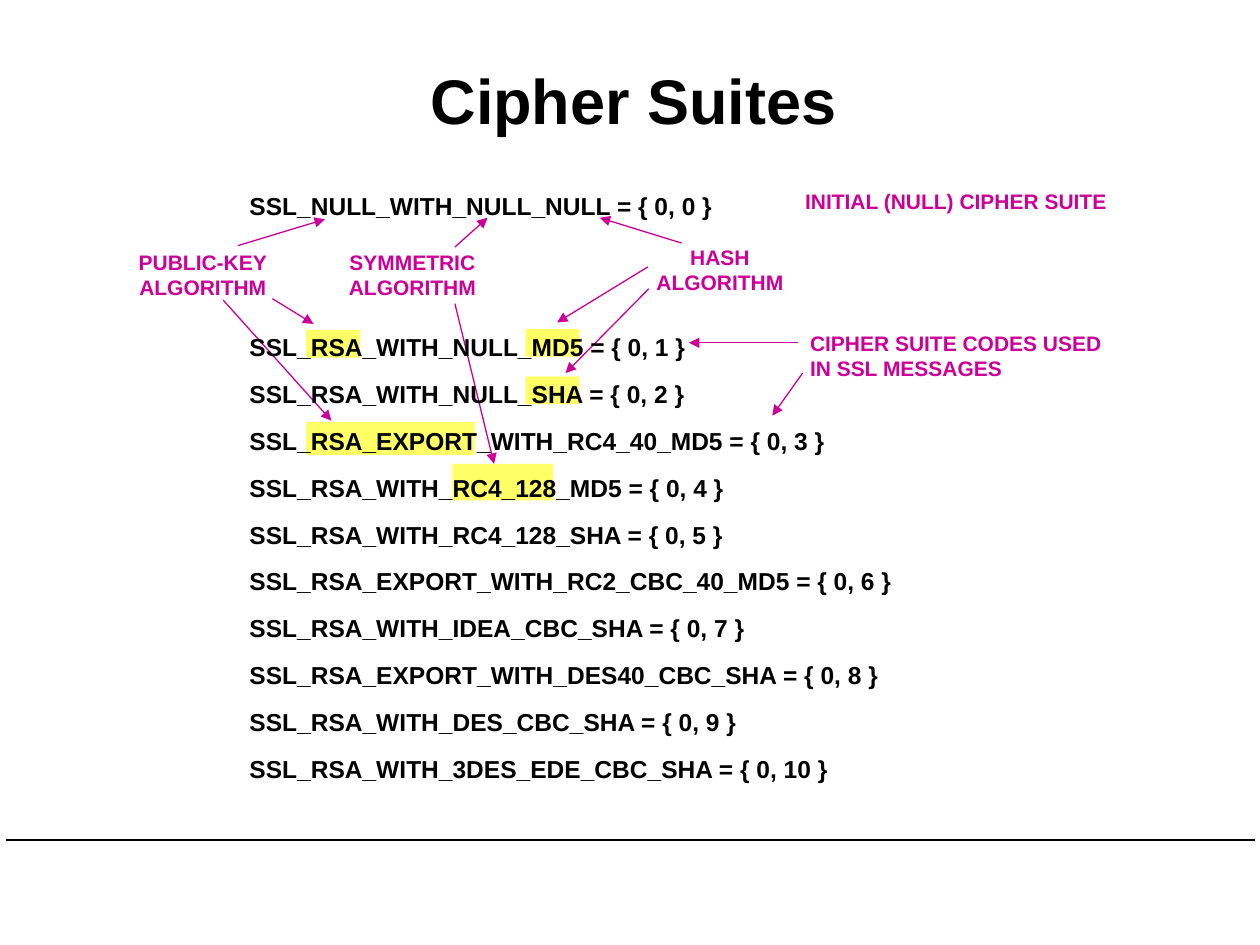
from lxml import etree
from pptx import Presentation
from pptx import util as u
from pptx.dml.color import RGBColor
from pptx.enum import shapes, text
from pptx.oxml.ns import qn

COLORS = {"ink": "000000", "note": "CC0099", "highlight": "FFFF66"}
FONT = "Arial"
LINE_HEIGHT = 1.2  # times the text size
CODE_SIZE, CODE_GAP = 14, 5

TITLE = ("Cipher Suites", (1.98, 0.91, 21.59, 2.01))
NULL_SUITE = "SSL_NULL_WITH_NULL_NULL = { 0, 0 }"
SUITES = [
    "SSL_RSA_WITH_NULL_MD5 = { 0, 1 }",
    "SSL_RSA_WITH_NULL_SHA = { 0, 2 }",
    "SSL_RSA_EXPORT_WITH_RC4_40_MD5 = { 0, 3 }",
    "SSL_RSA_WITH_RC4_128_MD5 = { 0, 4 }",
    "SSL_RSA_WITH_RC4_128_SHA = { 0, 5 }",
    "SSL_RSA_EXPORT_WITH_RC2_CBC_40_MD5 = { 0, 6 }",
    "SSL_RSA_WITH_IDEA_CBC_SHA = { 0, 7 }",
    "SSL_RSA_EXPORT_WITH_DES40_CBC_SHA = { 0, 8 }",
    "SSL_RSA_WITH_DES_CBC_SHA = { 0, 9 }",
    "SSL_RSA_WITH_3DES_EDE_CBC_SHA = { 0, 10 }",
]
SUITES_BOX = (4.78, 3.73, 15.16, 12.19)

# Boxes are left, top, width, height in centimetres
HIGHLIGHTS = [
    (9.12, 9.35, 2.03, 0.74),   # RC4_128
    (6.17, 8.51, 3.4, 0.66),    # RSA_EXPORT
    (6.17, 6.65, 1.09, 0.56),   # RSA
    (10.59, 7.59, 1.09, 0.56),  # SHA
    (10.59, 6.63, 1.09, 0.56),  # MD5
]
LEFT, CENTER = text.PP_ALIGN.LEFT, text.PP_ALIGN.CENTER
LABELS = [
    (["INITIAL (NULL) CIPHER SUITE"], (15.98, 3.68, 6.6, 0.76), LEFT),
    (["PUBLIC-KEY", "ALGORITHM"], (2.54, 4.9, 3.1, 1.27), CENTER),
    (["SYMMETRIC", "ALGORITHM"], (6.78, 4.9, 3.07, 1.27), CENTER),
    (["HASH", "ALGORITHM"], (12.98, 4.8, 3.07, 1.27), CENTER),
    (["CIPHER SUITE CODES USED", "IN SSL MESSAGES"], (16.08, 6.53, 6.4, 1.27), LEFT),
]
ARROWS = [
    # public-key algorithm
    (4.8, 4.95, 6.55, 4.42),
    (5.49, 6.02, 6.32, 6.53),
    (4.5, 6.05, 6.68, 8.48),
    # symmetric algorithm
    (9.17, 4.98, 9.83, 4.39),
    (9.17, 6.12, 9.96, 9.35),
    # hash algorithm
    (13.74, 4.9, 12.09, 4.39),
    (13.06, 5.38, 11.23, 6.5),
    (13.08, 5.82, 11.4, 7.52),
    # cipher suite codes
    (16.08, 6.91, 13.89, 6.91),
    (16.18, 7.52, 15.57, 8.38),
]
FOOTER_RULE = (0.13, 16.94, 25.3, 16.94)


def rgb(name):
    return RGBColor.from_string(COLORS[name])


def cm(values):
    return [u.Cm(value) for value in values]


def add_text(slide, lines, box, size, color, align=LEFT, wrap=True,
             anchor=text.MSO_ANCHOR.MIDDLE):
    frame = slide.shapes.add_textbox(*cm(box)).text_frame
    frame.word_wrap = wrap
    frame.vertical_anchor = anchor
    for index, line in enumerate(lines):
        paragraph = frame.paragraphs[0] if index == 0 else frame.add_paragraph()
        paragraph.alignment = align
        paragraph.line_spacing = u.Pt(size * LINE_HEIGHT)
        run = paragraph.add_run()
        run.text = line
        run.font.name = FONT
        run.font.size = u.Pt(size)
        run.font.bold = True
        run.font.color.rgb = rgb(color)
    return frame


def add_line(slide, ends, color, width, arrow=False):
    connector = slide.shapes.add_connector(shapes.MSO_CONNECTOR.STRAIGHT, *cm(ends))
    connector.line.color.rgb = rgb(color)
    connector.line.width = u.Pt(width)
    if arrow:
        etree.SubElement(connector.line._get_or_add_ln(), qn("a:tailEnd"), type="triangle")
    etree.SubElement(connector._element.spPr, qn("a:effectLst"))


def add_highlight(slide, box):
    shape = slide.shapes.add_shape(shapes.MSO_SHAPE.RECTANGLE, *cm(box))
    shape.shadow.inherit = False
    shape.fill.solid()
    shape.fill.fore_color.rgb = rgb("highlight")
    shape.line.fill.background()


def add_suites(slide):
    """List the suites, leaving two rows free after the null suite."""
    frame = add_text(slide, [NULL_SUITE] + SUITES, SUITES_BOX, CODE_SIZE, "ink")
    row = CODE_SIZE * LINE_HEIGHT + 2 * CODE_GAP
    for index, paragraph in enumerate(frame.paragraphs):
        paragraph.space_after = u.Pt(CODE_GAP)
        if index:
            free_rows = 2 if index == 1 else 0
            paragraph.space_before = u.Pt(CODE_GAP + free_rows * row)


def main():
    presentation = Presentation()
    presentation.slide_width, presentation.slide_height = cm((25.4, 19.05))
    slide = presentation.slides.add_slide(presentation.slide_layouts[6])

    add_line(slide, FOOTER_RULE, "ink", 1)
    for box in HIGHLIGHTS:
        add_highlight(slide, box)
    title, title_box = TITLE
    frame = add_text(slide, [title], title_box, 36, "ink", CENTER,
                     anchor=text.MSO_ANCHOR.BOTTOM)
    frame.paragraphs[0].line_spacing = 0.9
    for lines, box, align in LABELS:
        add_text(slide, lines, box, 12, "note", align, wrap=False)
    for ends in ARROWS:
        add_line(slide, ends, "note", 0.75, arrow=True)
    add_suites(slide)

    presentation.save("out.pptx")


if __name__ == "__main__":
    main()
